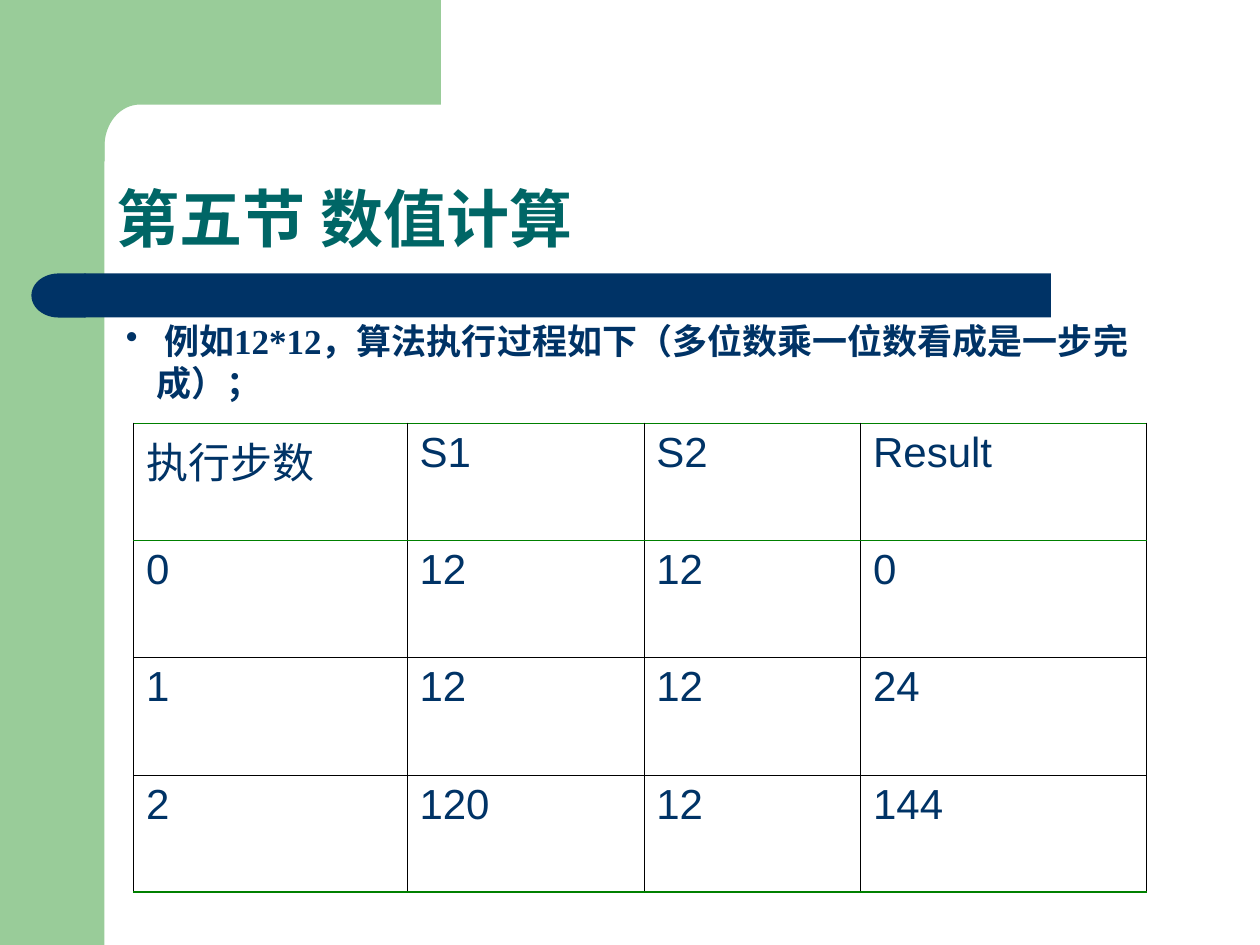
from math import cos, pi, sin

from lxml.etree import SubElement
from pptx import Presentation
from pptx.dml.color import RGBColor
from pptx.enum.shapes import MSO_SHAPE as Shape
from pptx.enum.text import MSO_ANCHOR as Anchor
from pptx.oxml.ns import qn
from pptx.util import Inches, Pt

TITLE = "第五节 数值计算"
EXAMPLE = " 例如12*12，算法执行过程如下（多位数乘一位数看成是一步完成）；"
STEPS = [
    ("执行步数", "S1", "S2", "Result"),
    ("0", "12", "12", "0"),
    ("1", "12", "12", "24"),
    ("2", "120", "12", "144"),
]
COLUMN_WIDTHS = (2.17, 1.88, 1.72, 2.27)
ROW_HEIGHT = 0.93

THEME = {
    "green": "99CC99",
    "navy": "003366",
    "teal": "006666",
    "grid": ("000000", 0.34),
    "header_rule": ("008000", 0.45),
    "outer_rule": ("008000", 0.96),
    "title": {"name": "Arial", "size": Pt(36), "bold": True},
    "example": {"name": "Times New Roman", "size": Pt(20), "bold": True},
    "cell": {"name": "Arial", "size": Pt(24), "bold": False},
}


def paint(shape, color):
    shape.shadow.inherit = False
    shape.fill.solid()
    shape.fill.fore_color.rgb = RGBColor.from_string(color)
    shape.line.fill.background()


def add_block(slide, kind, place, color):
    block = slide.shapes.add_shape(kind, *map(Inches, place))
    paint(block, color)
    return block


def add_corner(slide):
    """Draw the top band, whose inner corner is a quarter ellipse."""
    center_x, center_y, radius_x, radius_y = 1.11, 1.16, 0.28, 0.33
    angles = [pi / 2 * step / 16 for step in range(17)]
    curve = [(center_x - radius_x * sin(a), center_y - radius_y * cos(a))
             for a in angles]
    outline = [(3.5, 0), (3.5, 0.83), *curve, (0.83, 1.28), (0.5, 1.28), (0.5, 0)]
    points = [(Inches(x), Inches(y)) for x, y in outline]
    builder = slide.shapes.build_freeform(*points[0])
    builder.add_line_segments(points[1:], close=True)
    paint(builder.convert_to_shape(), THEME["green"])


def write(para, text, style, color):
    span = para.add_run()
    span.text = text
    for name, value in THEME[style].items():
        setattr(span.font, name, value)
    span.font.color.rgb = RGBColor.from_string(THEME[color])


def add_text(slide, place, text, style, color, anchor):
    box = slide.shapes.add_textbox(*map(Inches, place))
    box.text_frame.word_wrap = True
    box.text_frame.vertical_anchor = anchor
    para = box.text_frame.paragraphs[0]
    write(para, text, style, color)
    return para


def add_bullet(para, hang):
    props = para._p.get_or_add_pPr()
    props.set("marL", str(Inches(hang)))
    props.set("indent", str(-Inches(hang)))
    color = SubElement(props, qn("a:buClr"))
    SubElement(color, qn("a:srgbClr"), val=THEME["navy"])
    SubElement(props, qn("a:buChar"), char="•")


def set_borders(cell, top, bottom):
    props = cell._tc.get_or_add_tcPr()
    sides = {"L": THEME["grid"], "R": THEME["grid"], "T": top, "B": bottom}
    for side, (color, width) in sides.items():
        line = SubElement(props, qn(f"a:ln{side}"), w=str(Pt(width)))
        fill = SubElement(line, qn("a:solidFill"))
        SubElement(fill, qn("a:srgbClr"), val=color)


def add_steps_table(slide, left, top):
    rows, columns = len(STEPS), len(COLUMN_WIDTHS)
    size = (sum(COLUMN_WIDTHS), ROW_HEIGHT * rows)
    table = slide.shapes.add_table(
        rows, columns, *map(Inches, (left, top, *size))).table
    table.first_row = table.horz_banding = False
    for column, width in zip(table.columns, COLUMN_WIDTHS):
        column.width = Inches(width)
    rules = [THEME["outer_rule"], THEME["header_rule"],
             *[THEME["grid"]] * (rows - 2), THEME["outer_rule"]]
    for r, values in enumerate(STEPS):
        table.rows[r].height = Inches(ROW_HEIGHT)
        for c, value in enumerate(values):
            cell = table.cell(r, c)
            write(cell.text_frame.paragraphs[0], value, "cell", "navy")
            set_borders(cell, rules[r], rules[r + 1])
            cell.fill.background()


def main():
    deck = Presentation()
    deck.slide_width, deck.slide_height = Inches(10), Inches(7.5)
    slide = deck.slides.add_slide(deck.slide_layouts[6])

    add_block(slide, Shape.RECTANGLE, (0, 0, 0.83, 7.5), THEME["green"])
    add_corner(slide)
    add_block(slide, Shape.RECTANGLE, (0.67, 2.17, 7.67, 0.35), THEME["navy"])
    cap = add_block(slide, Shape.FLOWCHART_DELAY, (0.25, 2.17, 0.43, 0.35),
                    THEME["navy"])
    cap._element.spPr.get_or_add_xfrm().set("flipH", "1")

    title = add_text(slide, (0.83, 0.83, 8.67, 1.25), TITLE, "title", "teal",
                     Anchor.BOTTOM)
    title.line_spacing = 0.9
    add_steps_table(slide, 1.06, 3.36)
    example = add_text(slide, (0.9, 2.49, 8.51, 0.77), EXAMPLE, "example",
                       "navy", Anchor.TOP)
    add_bullet(example, 0.24)
    deck.save("out.pptx")


if __name__ == "__main__":
    main()
